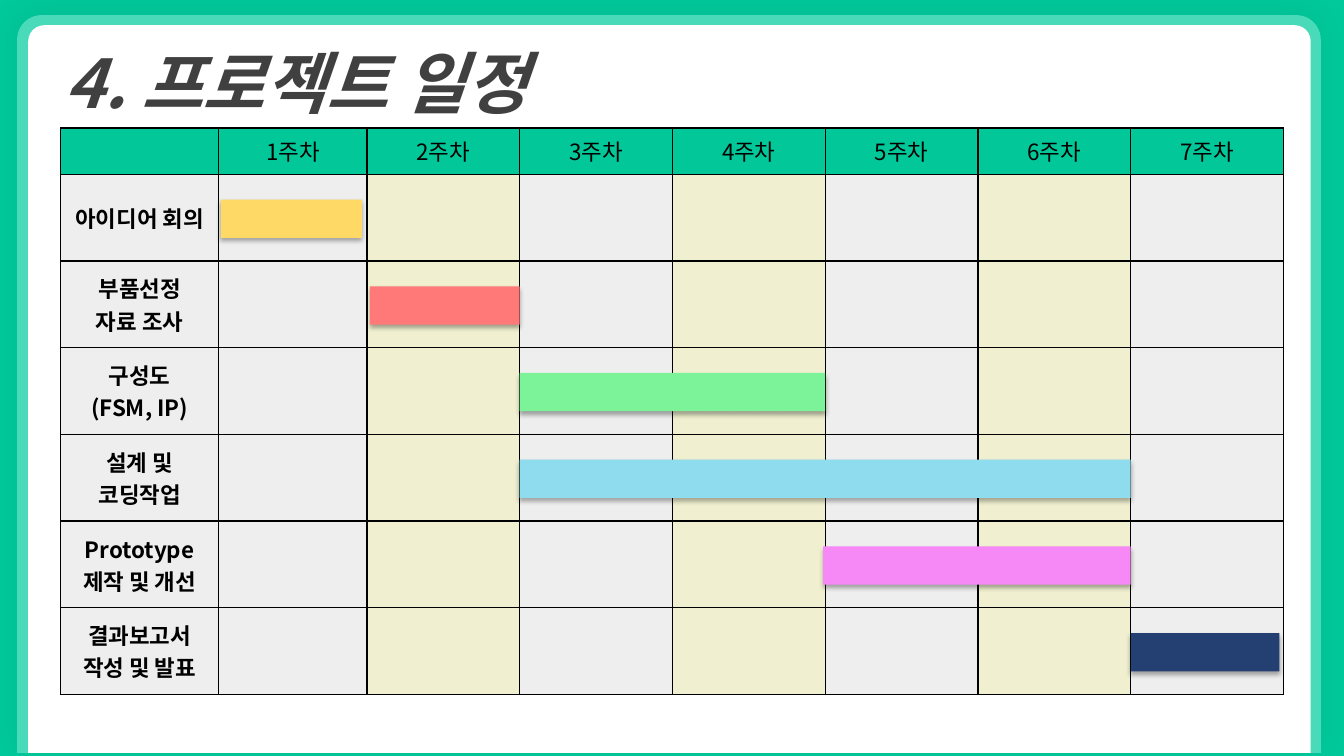
from itertools import accumulate

from pptx import Presentation, util as u
from pptx.dml.color import RGBColor
from pptx.enum import shapes, text
from pptx.oxml import parse_xml
from pptx.oxml.ns import nsdecls, qn

FONT = "Noto Sans CJK KR"
WIDTH, HEIGHT = 13.33, 7.5
GREEN, HEADER, GREY, CREAM = "01C99B", "01C799", "EEEEEE", "F0F0D0"
BLACK, WHITE, TITLE_COLOR = "000000", "FFFFFF", "404040"

TITLE = "4. 프로젝트 일정"
WEEKS = [f"{week}주차" for week in range(1, 8)]
# task, first week, last week, left inset, right inset, bar colour
TASKS = [
    ("아이디어 회의", 1, 1, 0.02, 0.05, "FFD966"),
    ("부품선정\n자료 조사", 2, 2, 0.03, 0, "FF7979"),
    ("구성도\n(FSM, IP)", 3, 4, 0, 0, "7DF399"),
    ("설계 및\n코딩작업", 3, 6, 0, 0, "8EDCEE"),
    ("Prototype\n제작 및 개선", 5, 6, -0.02, 0, "F789F7"),
    ("결과보고서 작성 및 발표", 7, 7, 0, 0.04, "244072"),
]
# side margin, top, corner, colour
PANELS = [(0.17, 0.15, 0.033, "49DAB9"), (0.28, 0.25, 0.022, WHITE)]
PANEL_RIGHT, PANEL_BOTTOM = (13.1, 13), 7.47

TABLE_LEFT, TABLE_TOP, TABLE_WIDTH = 0.6, 1.27, 12.13
LABEL_WIDTH, FIRST_WEEK_WIDTH = 1.57, 1.47
WEEK_WIDTH = (TABLE_WIDTH - LABEL_WIDTH - FIRST_WEEK_WIDTH) / 6
COLUMNS = [LABEL_WIDTH, FIRST_WEEK_WIDTH] + [WEEK_WIDTH] * 6
HEADER_HEIGHT, TASK_HEIGHT = 0.46, 0.86
ROWS = [HEADER_HEIGHT] + [TASK_HEIGHT] * len(TASKS)
EDGES = list(accumulate(COLUMNS, initial=TABLE_LEFT))
BAR_HEIGHT, BAR_DROP = 0.38, 0.01


def color(value):
    return RGBColor.from_string(value)


def inches(*lengths):
    return [u.Inches(length) for length in lengths]


def format_text(frame, size, fill, bold=False, italic=False):
    for paragraph in frame.paragraphs:
        for run in paragraph.runs:
            font = run.font
            font.size, font.bold, font.italic = u.Pt(size), bold, italic
            font.name = FONT
            font.color.rgb = color(fill)
            run._r.get_or_add_rPr().append(
                parse_xml(f'<a:ea {nsdecls("a")} typeface="{FONT}"/>'))


def add_block(slide, kind, box, fill, shadow=None):
    """Add a borderless shape; shadow is (opacity %, blur pt, distance pt, angle)."""
    shape = slide.shapes.add_shape(kind, *inches(*box))
    shape.fill.solid()
    shape.fill.fore_color.rgb = color(fill)
    shape.line.fill.background()
    shape.shadow.inherit = False
    if shadow:
        opacity, blur, distance, angle = shadow
        shape._element.spPr.find(qn("a:effectLst")).append(parse_xml(
            f'<a:outerShdw {nsdecls("a")} blurRad="{u.Pt(blur)}" dist="{u.Pt(distance)}" '
            f'dir="{angle * 60000}" algn="ctr" rotWithShape="0"><a:srgbClr val="{BLACK}">'
            f'<a:alpha val="{opacity * 1000}"/></a:srgbClr></a:outerShdw>'))
    return shape


def add_panels(slide):
    for (left, top, corner, fill), right, shadow in zip(
            PANELS, PANEL_RIGHT, [(5, 24, 3, 270), None]):
        panel = add_block(slide, shapes.MSO_SHAPE.ROUND_2_SAME_RECTANGLE,
                          (left, top, right - left, PANEL_BOTTOM - top), fill, shadow)
        panel.adjustments[0], panel.adjustments[1] = corner, 0


def add_title(slide):
    frame = slide.shapes.add_textbox(*inches(0.54, 0.36, 7.11, 0.91)).text_frame
    frame.word_wrap = True
    frame.text = TITLE
    format_text(frame, 48, TITLE_COLOR, bold=True, italic=True)


def style_cell(cell, words, fill, bold):
    properties = cell._tc.get_or_add_tcPr()
    for side in "LRTB":
        properties.append(parse_xml(
            f'<a:ln{side} {nsdecls("a")} w="{u.Pt(1)}"><a:solidFill>'
            f'<a:srgbClr val="{BLACK}"/></a:solidFill></a:ln{side}>'))
    cell.fill.solid()
    cell.fill.fore_color.rgb = color(fill)
    cell.vertical_anchor = text.MSO_ANCHOR.MIDDLE
    cell.text_frame.text = words
    for paragraph in cell.text_frame.paragraphs:
        paragraph.alignment = text.PP_ALIGN.CENTER
    format_text(cell.text_frame, 16, BLACK, bold)


def add_schedule(slide):
    table = slide.shapes.add_table(
        len(ROWS), len(COLUMNS),
        *inches(TABLE_LEFT, TABLE_TOP, TABLE_WIDTH, sum(ROWS))).table
    for column, width in zip(table.columns, COLUMNS):
        column.width = u.Inches(width)
    for row, height in zip(table.rows, ROWS):
        row.height = u.Inches(height)
    contents = [[""] + WEEKS] + [[task[0]] + [""] * len(WEEKS) for task in TASKS]
    for row, line in enumerate(contents):
        for column, words in enumerate(line):
            week_fill = CREAM if column and column % 2 == 0 else GREY
            style_cell(table.cell(row, column), words,
                       week_fill if row else HEADER, bold=row > 0)


def add_bars(slide):
    for row, (_, first, last, inset_left, inset_right, fill) in enumerate(TASKS):
        left = EDGES[first] + inset_left
        right = EDGES[last + 1] - inset_right
        middle = TABLE_TOP + HEADER_HEIGHT + (row + 0.5) * TASK_HEIGHT + BAR_DROP
        add_block(slide, shapes.MSO_SHAPE.RECTANGLE,
                  (left, middle - BAR_HEIGHT / 2, right - left, BAR_HEIGHT),
                  fill, (32, 3.5, 2.2, 90))


def main():
    presentation = Presentation()
    presentation.slide_width, presentation.slide_height = inches(WIDTH, HEIGHT)
    slide = presentation.slides.add_slide(presentation.slide_layouts[6])
    slide.background.fill.solid()
    slide.background.fill.fore_color.rgb = color(GREEN)
    add_panels(slide)
    add_title(slide)
    add_schedule(slide)
    add_bars(slide)
    presentation.save("out.pptx")


if __name__ == "__main__":
    main()
